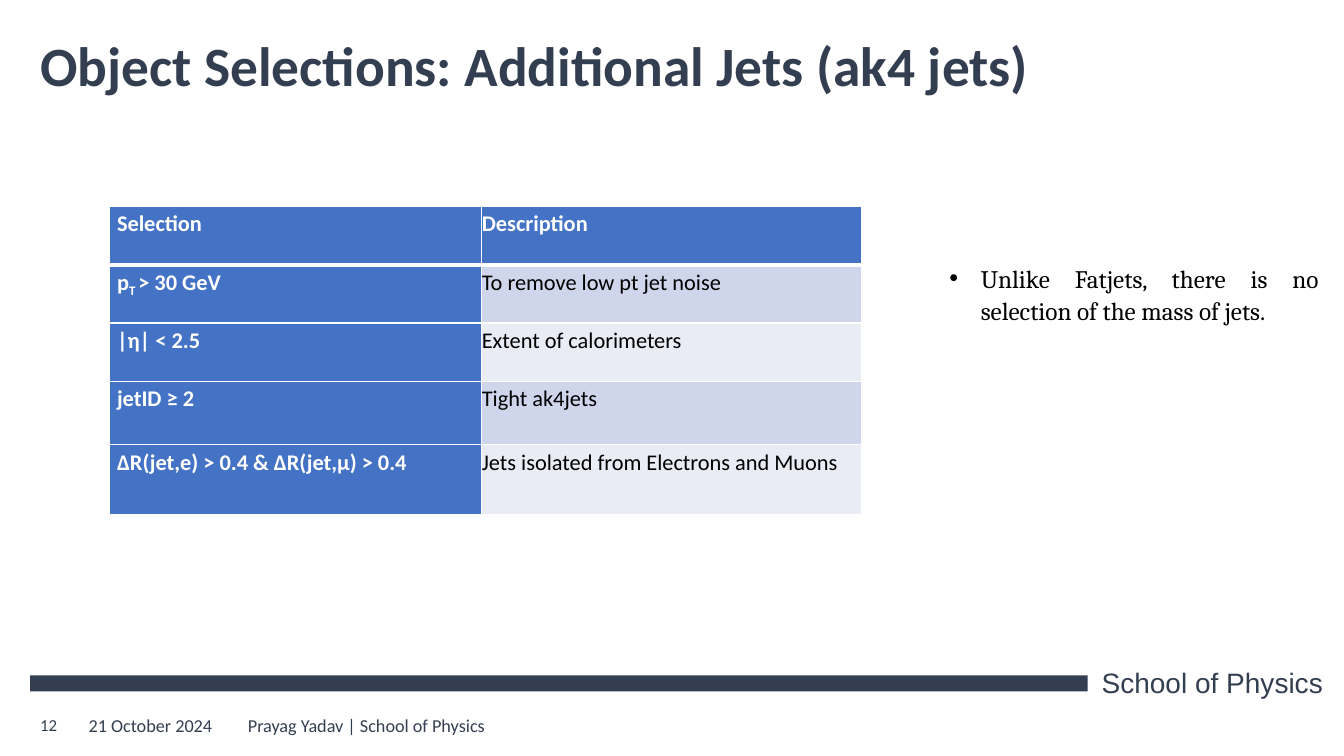
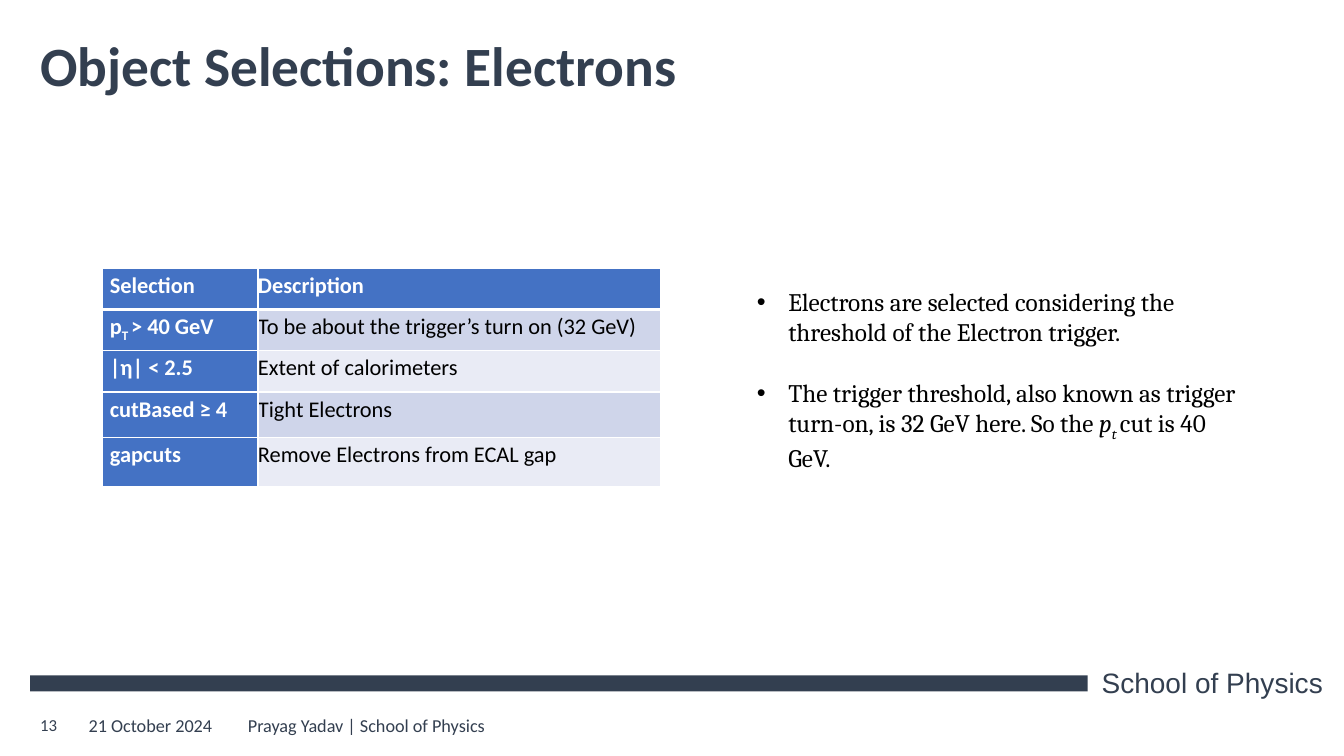
import pptx
import pptx.util
import pptx.dml.color
import pptx.enum.shapes
import pptx.enum.text
import pptx.oxml
from dataclasses import dataclass
from lxml import etree

Pt = pptx.util.Pt
ALIGN = pptx.enum.text.PP_ALIGN
ANCHOR = pptx.enum.text.MSO_ANCHOR
DRAWING = "http://schemas.openxmlformats.org/drawingml/2006/main"


@dataclass(frozen=True)
class Theme:
    navy: str = "333F50"
    blue: str = "4472C4"
    stripe_dark: str = "CFD5EA"
    stripe_light: str = "E9EBF5"
    white: str = "FFFFFF"
    black: str = "000000"
    body_font: str = "Calibri"
    note_font: str = "Cambria"
    school_font: str = "Arial"
    title_size: float = 39.6
    school_size: float = 20
    note_size: float = 18
    table_size: float = 16
    footer_size: float = 13
    number_size: float = 12


THEME = Theme()
SUBSCRIPT = {"baseline": -25000}
HEADER = ("Selection", "Description")
SCHOOL = "School of Physics"
DATE = "21 October 2024"
AUTHOR = "Prayag Yadav | School of Physics"

SLIDES = [
    {
        "number": "12",
        "title": "Object Selections: Additional Jets (ak4 jets)",
        "rows": [
            HEADER,
            (["p", ("T ", SUBSCRIPT), "> 30 GeV"], "To remove low pt jet noise"),
            ("|η| < 2.5", "Extent of calorimeters"),
            ("jetID ≥ 2", "Tight ak4jets"),
            ("∆R(jet,e) > 0.4 & ∆R(jet,µ) > 0.4", "Jets isolated from Electrons and Muons"),
        ],
        "table_at": (78.5, 147.6),
        "columns": (265.7, 271.4),
        "heights": (41.6, 41.6, 41.6, 45.4, 49.7),
        "notes": ["Unlike Fatjets, there is no selection of the mass of jets."],
        "notes_at": (671, 182.9, 278, 52.6),
        "notes_format": {"align": ALIGN.JUSTIFY, "line_spacing": 1.07},
    },
    {
        "number": "13",
        "title": "Object Selections: Electrons",
        "rows": [
            HEADER,
            (["p", ("T ", SUBSCRIPT), "> 40 GeV"], "To be about the trigger’s turn on (32 GeV)"),
            ("|η| < 2.5", "Extent of calorimeters"),
            ("cutBased ≥ 4", "Tight Electrons"),
            ("gapcuts", "Remove Electrons from ECAL gap"),
        ],
        "table_at": (73.4, 191.5),
        "columns": (110.9, 287.3),
        "heights": (29.5, 29.5, 29.5, 32.4, 35.3),
        "notes": [
            "Electrons are selected considering the threshold of the Electron trigger.",
            [
                "The trigger threshold, also known as trigger turn-on, is 32 GeV here. So the ",
                ("p", {"italic": True}),
                ("t ", {"italic": True, **SUBSCRIPT}),
                "cut is 40 GeV.",
            ],
        ],
        "notes_at": (533.5, 200.9, 366.5, 138.2),
        "notes_format": {},
    },
]


def rgb(value):
    return pptx.dml.color.RGBColor.from_string(value)


def write(para, text, *, size, color=THEME.navy, font=THEME.body_font, bold=False,
          align=ALIGN.LEFT, line_spacing=None, space_before=0, margin=0, indent=0, bullet=None):
    properties = para._p.get_or_add_pPr()
    properties.set("marL", str(Pt(margin)))
    properties.set("indent", str(Pt(indent)))
    if bullet:
        etree.SubElement(properties, f"{{{DRAWING}}}buFont", typeface="Arial")
        etree.SubElement(properties, f"{{{DRAWING}}}buChar", char=bullet)
    para.alignment = align
    para.space_before = Pt(space_before)
    if line_spacing:
        para.line_spacing = line_spacing
    for piece in [text] if isinstance(text, str) else text:
        words, extra = (piece, {}) if isinstance(piece, str) else piece
        span = para.add_run()
        span.text = words
        span.font.size = Pt(size)
        span.font.name = font
        span.font.bold = bold
        span.font.italic = extra.get("italic", False)
        span.font.color.rgb = rgb(color)
        if "baseline" in extra:
            span._r.get_or_add_rPr().set("baseline", str(extra["baseline"]))


def add_box(page, bounds, anchor=ANCHOR.MIDDLE):
    box = page.shapes.add_textbox(*map(Pt, bounds))
    box.text_frame.word_wrap = True
    box.text_frame.vertical_anchor = anchor
    return box.text_frame


def add_block(page, bounds, color):
    block = page.shapes.add_shape(pptx.enum.shapes.MSO_SHAPE.RECTANGLE, *map(Pt, bounds))
    block.shadow.inherit = False
    block.fill.solid()
    block.fill.fore_color.rgb = rgb(color)
    block.line.fill.background()
    return block.text_frame


def add_frame(page, title, number):
    add_block(page, (21.6, 482.4, 755.3, 11.5), THEME.navy)
    school = add_block(page, (779.8, 471.6, 175, 31.7), THEME.white)
    school.vertical_anchor = ANCHOR.TOP
    write(school.paragraphs[0], SCHOOL, size=THEME.school_size, font=THEME.school_font)
    footers = [
        (number, 21.6, 31.7, THEME.number_size),
        (DATE, 56.2, 113.8, THEME.footer_size),
        (AUTHOR, 170, 324, THEME.footer_size),
    ]
    for text, left, width, size in footers:
        write(add_box(page, (left, 503.3, width, 28.8)).paragraphs[0], text, size=size)
    heading = add_box(page, (21.6, 21.6, 870.5, 54))
    write(heading.paragraphs[0], title, size=THEME.title_size, bold=True, line_spacing=0.9)


def set_borders(cell, **widths):
    properties = cell._tc.get_or_add_tcPr()
    for side in ("L", "R", "T", "B"):
        properties.append(pptx.oxml.parse_xml(
            f'<a:ln{side} xmlns:a="{DRAWING}" w="{Pt(widths.get(side, 1))}">'
            f'<a:solidFill><a:srgbClr val="{THEME.white}"/></a:solidFill></a:ln{side}>'))


def add_selection_table(page, rows, corner, columns, heights):
    size = (sum(columns), sum(heights))
    table = page.shapes.add_table(len(rows), len(columns), *map(Pt, corner + size)).table
    table.first_col = True
    for column, width in zip(table.columns, columns):
        column.width = Pt(width)
    for row, height in zip(table.rows, heights):
        row.height = Pt(height)
    for r, texts in enumerate(rows):
        for c, text in enumerate(texts):
            cell = table.cell(r, c)
            strong = r == 0 or c == 0
            stripe = THEME.stripe_dark if r % 2 else THEME.stripe_light
            cell.margin_left = cell.margin_bottom = 0
            cell.margin_top, cell.margin_right = Pt(1.4), Pt(5.8)
            set_borders(cell, T=3 if r == 1 else 1, B=3 if r == 0 else 1)
            cell.fill.solid()
            cell.fill.fore_color.rgb = rgb(THEME.blue if strong else stripe)
            write(cell.text_frame.paragraphs[0], text, size=THEME.table_size, bold=strong,
                  color=THEME.white if strong else THEME.black, line_spacing=1.07,
                  margin=0.7 if c else 5.8, indent=-0.7)


def add_notes(page, notes, bounds, **layout):
    frame = add_box(page, bounds, ANCHOR.TOP)
    for i, text in enumerate(notes):
        para = frame.add_paragraph() if i else frame.paragraphs[0]
        write(para, text, size=THEME.note_size, font=THEME.note_font, color=THEME.black,
              space_before=22 if i else 0, margin=22.5, indent=-22.5, bullet="•", **layout)


def main():
    deck = pptx.Presentation()
    deck.slide_width, deck.slide_height = Pt(960), Pt(540)
    for content in SLIDES:
        page = deck.slides.add_slide(deck.slide_layouts[6])
        add_frame(page, content["title"], content["number"])
        add_selection_table(page, content["rows"], content["table_at"],
                            content["columns"], content["heights"])
        add_notes(page, content["notes"], content["notes_at"], **content["notes_format"])
    deck.save("out.pptx")


if __name__ == "__main__":
    main()
